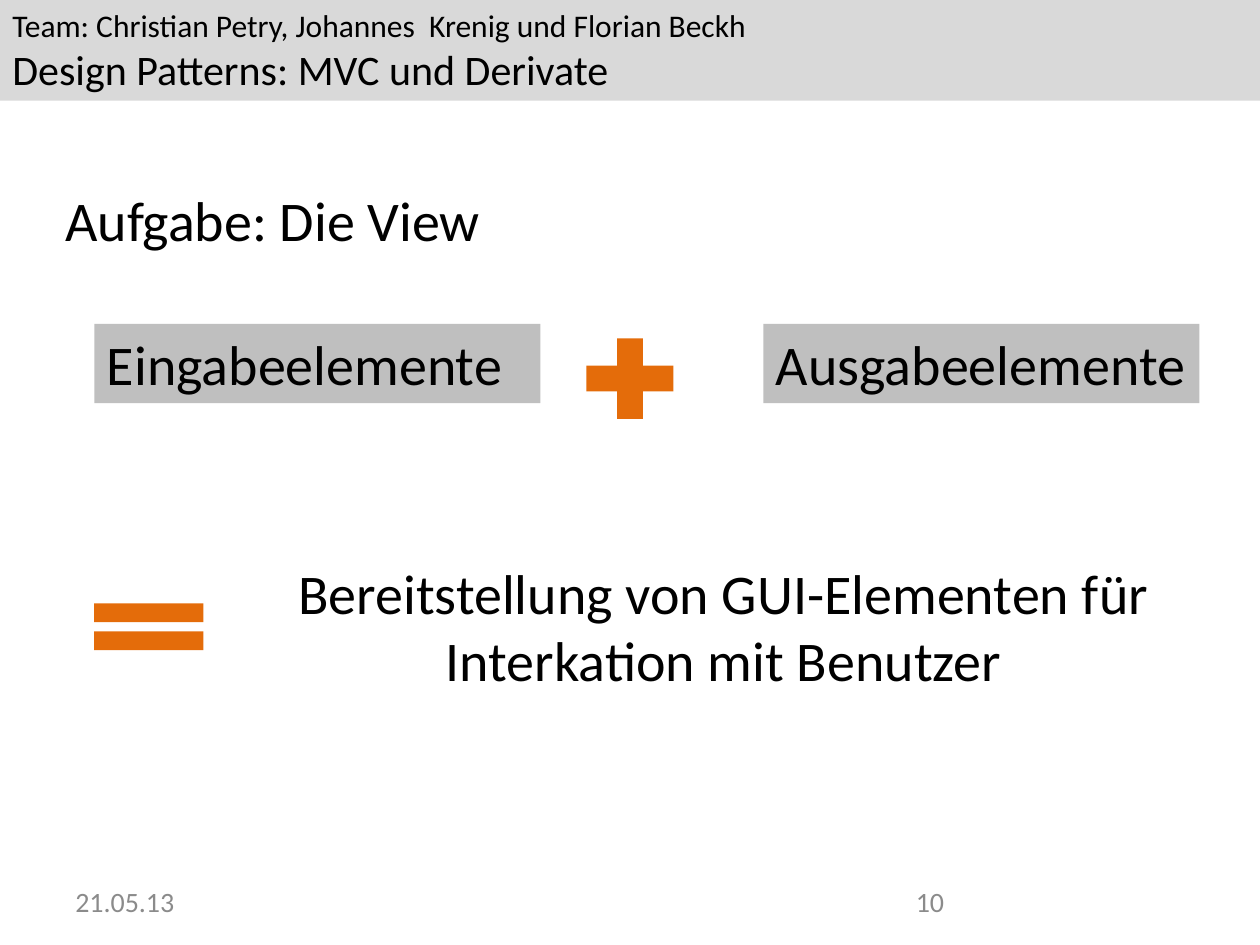
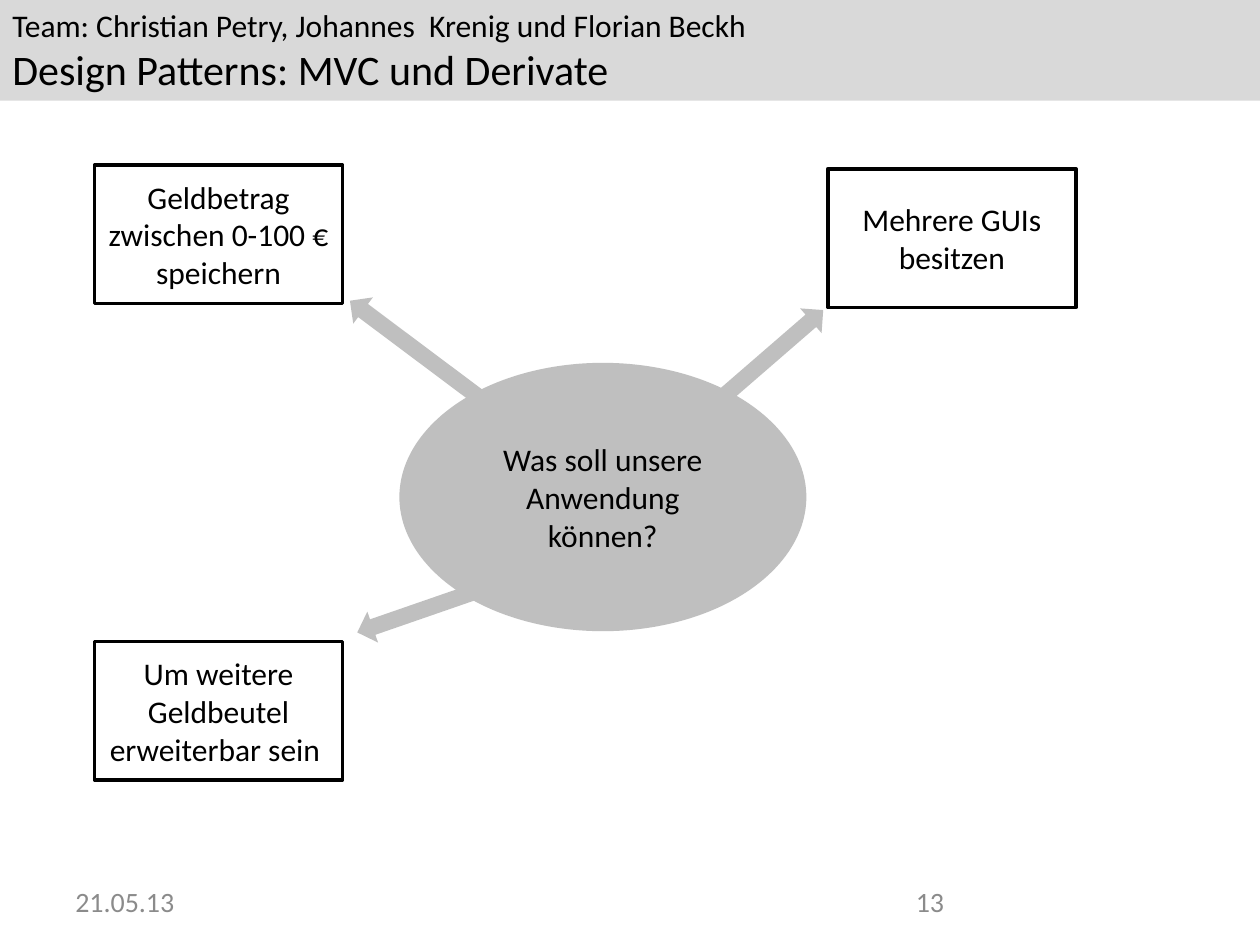
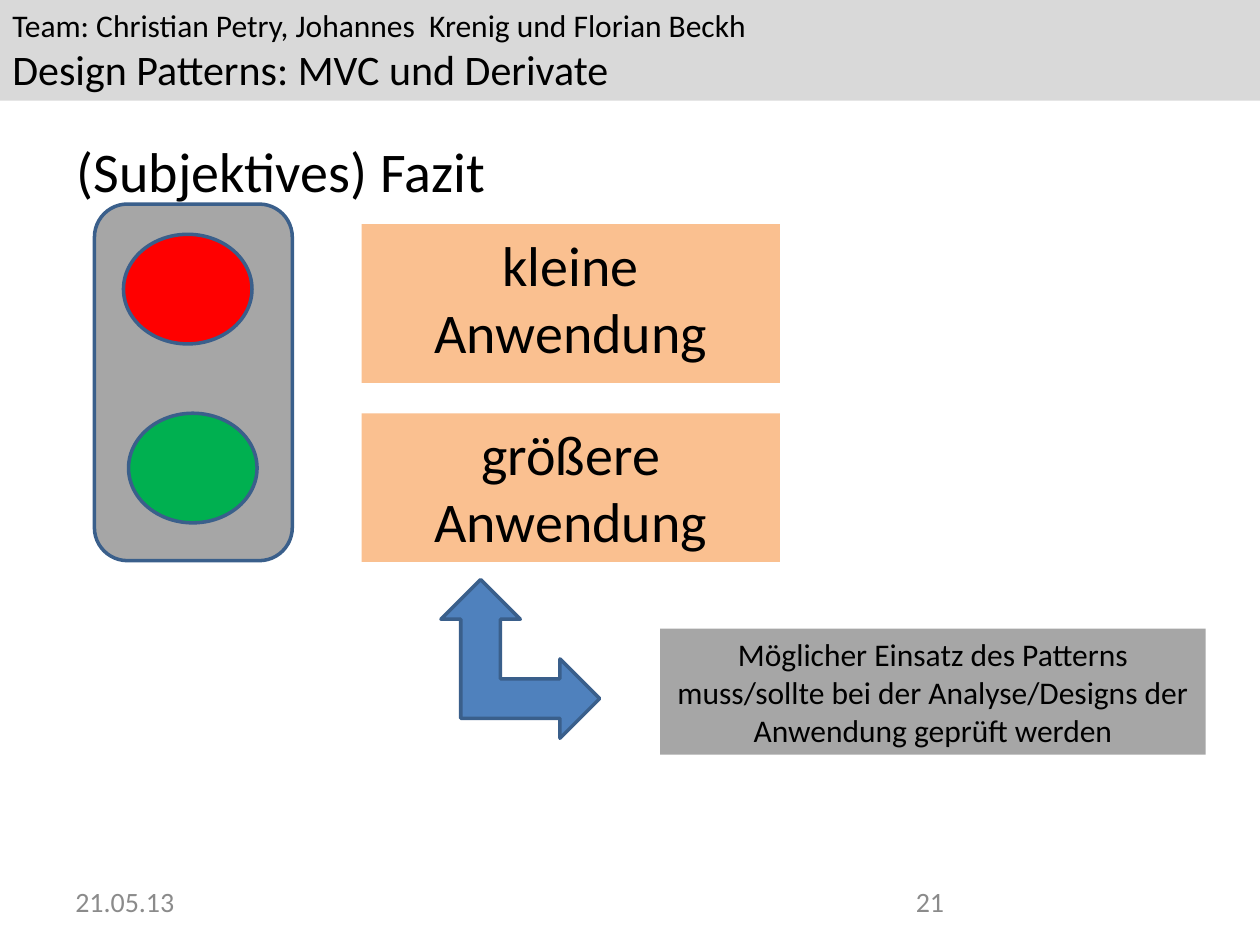
from pptx import Presentation
from pptx.dml.color import RGBColor
from pptx.enum.shapes import MSO_SHAPE
from pptx.enum.text import MSO_ANCHOR, MSO_AUTO_SIZE, PP_ALIGN
from pptx.util import Inches, Pt

COLORS = {
    "text": "000000", "footer": "8B8B8B", "white": "FFFFFF",
    "band": "D9D9D9", "gray": "BFBFBF", "dark_gray": "A6A6A6",
    "orange": "E46C0A", "peach": "FAC090",
    "blue": "4F81BD", "outline": "3A5F8B",
    "red": "FF0000", "green": "00B050",
}
FONT = "Calibri"
LARGE, BAND_TITLE, BODY, FOOTER = 32, 24, 18, 16
TITLE_ONLY, BLANK = 5, 6

prs = Presentation()
prs.slide_width, prs.slide_height = Inches(10), Inches(7.5)
CELL = prs.slide_width / 100  # square grid of 100 columns and 75 rows


def add_block(slide, preset, place, fill, line=None):
    """Add a preset shape; place is left, top, width, height in grid cells."""
    block = slide.shapes.add_shape(preset, *(round(n * CELL) for n in place))
    block.shadow.inherit = False
    block.fill.solid()
    block.fill.fore_color.rgb = RGBColor.from_string(COLORS[fill])
    if line:
        block.line.color.rgb = RGBColor.from_string(COLORS[line])
        block.line.width = Pt(2)
    else:
        block.line.fill.background()
    return block


def write(shape, lines, align=PP_ALIGN.LEFT, anchor=MSO_ANCHOR.TOP, color="text"):
    """Fill a shape with (text, size) lines, one paragraph each."""
    frame = shape.text_frame
    frame.word_wrap = True
    frame.auto_size = MSO_AUTO_SIZE.NONE
    frame.vertical_anchor = anchor
    for index, (text, size) in enumerate(lines):
        paragraph = frame.add_paragraph() if index else frame.paragraphs[0]
        paragraph.alignment = align
        run = paragraph.add_run()
        run.text = text
        run.font.name = FONT
        run.font.size = Pt(size)
        run.font.color.rgb = RGBColor.from_string(COLORS[color])


# Slides with their titles and footers
pages = [
    ("10", "Aufgabe: Die View", (4.2, 12.3)),
    ("13", None, None),
    ("21", "(Subjektives) Fazit", (5.1, 8.4)),
]
slides = []
for number, heading, corner in pages:
    slide = prs.slides.add_slide(prs.slide_layouts[TITLE_ONLY if heading else BLANK])
    slides.append(slide)
    if heading:
        title = slide.shapes.title
        title.left, title.top = (round(n * CELL) for n in corner)
        title.width, title.height = round(90 * CELL), round(10.2 * CELL)
        write(title, [(heading, LARGE)], anchor=MSO_ANCHOR.MIDDLE)
    for left, text in ((5, "21.05.13"), (71.7, number)):
        footer = slide.shapes.add_textbox(
            *(round(n * CELL) for n in (left, 69.5, 23.3, 4)))
        write(footer, [(text, FOOTER)], anchor=MSO_ANCHOR.MIDDLE, color="footer")
view_slide, goals_slide, verdict_slide = slides

# Header band, moved to the master so that every slide shows it
band = add_block(view_slide, MSO_SHAPE.RECTANGLE, (0, 0, 100, 8), "band")
write(band, [("Team: Christian Petry, Johannes  Krenig und Florian Beckh", BODY),
             ("Design Patterns: MVC und Derivate", BAND_TITLE)])
band.element.xpath(".//p:cNvPr")[0].set("id", "99")
prs.slide_master.shapes.element.append(band.element)

# The view: input plus output equals the user interface
purpose = view_slide.shapes.add_textbox(
    *(round(n * CELL) for n in (21.6, 43.8, 71.7, 11.8)))
write(purpose, [("Bereitstellung von GUI-Elementen für Interkation mit Benutzer", LARGE)],
      align=PP_ALIGN.CENTER)
add_block(view_slide, MSO_SHAPE.MATH_EQUAL, (5.9, 46.6, 11.8, 6.3), "orange")
for text, left, width in (("Eingabeelemente", 7.5, 35.4),
                          ("Ausgabeelemente", 60.6, 34.6)):
    element_box = add_block(view_slide, MSO_SHAPE.RECTANGLE,
                            (left, 25.7, width, 6.3), "gray")
    write(element_box, [(text, LARGE)])
add_block(view_slide, MSO_SHAPE.MATH_PLUS, (45.3, 25.7, 9.4, 8.7), "orange")

# The goals: a central question with an arrow to each answer
question = add_block(goals_slide, MSO_SHAPE.OVAL, (31.7, 28.8, 32.3, 21.3), "gray")
write(question, [("Was soll unsere Anwendung können?", BODY)],
      align=PP_ALIGN.CENTER, anchor=MSO_ANCHOR.MIDDLE)
goals = [
    ("Geldbetrag zwischen 0-100 € speichern", (7.5, 13.1), (26.5, 26.4), 216.8),
    ("Mehrere GUIs besitzen", (65.7, 13.4), (54.1, 27.5), 319.1),
    ("Um weitere Geldbeutel erweiterbar sein ", (7.5, 50.9), (28, 46.8), 160.9),
]
for text, box_corner, arrow_corner, angle in goals:
    goal = add_block(goals_slide, MSO_SHAPE.RECTANGLE,
                     (*box_corner, 19.7, 11), "white", "text")
    write(goal, [(text, BODY)], align=PP_ALIGN.CENTER, anchor=MSO_ANCHOR.MIDDLE)
    arrow = add_block(goals_slide, MSO_SHAPE.RIGHT_ARROW,
                      (*arrow_corner, 12.8, 2.6), "gray")
    arrow.rotation = angle

# The verdict: a traffic light beside the two application sizes
for text, top, height in (("kleine Anwendung", 17.8, 12.6),
                          ("größere Anwendung", 32.8, 11.8)):
    application = add_block(verdict_slide, MSO_SHAPE.RECTANGLE,
                            (28.7, top, 33.2, height), "peach")
    write(application, [(text, LARGE)], align=PP_ALIGN.CENTER)
advice_arrow = add_block(verdict_slide, MSO_SHAPE.LEFT_UP_ARROW,
                         (35, 46, 12.6, 12.6), "blue", "outline")
advice_arrow.element.xpath(".//a:xfrm")[0].set("flipH", "1")
advice = add_block(verdict_slide, MSO_SHAPE.RECTANGLE,
                   (52.4, 49.9, 43.3, 10), "dark_gray")
write(advice, [("Möglicher Einsatz des Patterns muss/sollte bei der Analyse/Designs der "
                "Anwendung geprüft werden", BODY)], align=PP_ALIGN.CENTER)
add_block(verdict_slide, MSO_SHAPE.FLOWCHART_ALTERNATE_PROCESS,
          (7.5, 16.2, 15.7, 28.3), "dark_gray", "outline")
for lamp, left, top in (("red", 9.8, 18.6), ("green", 10.2, 32.8)):
    add_block(verdict_slide, MSO_SHAPE.OVAL, (left, top, 10.2, 8.7), lamp, "outline")

prs.save("out.pptx")
